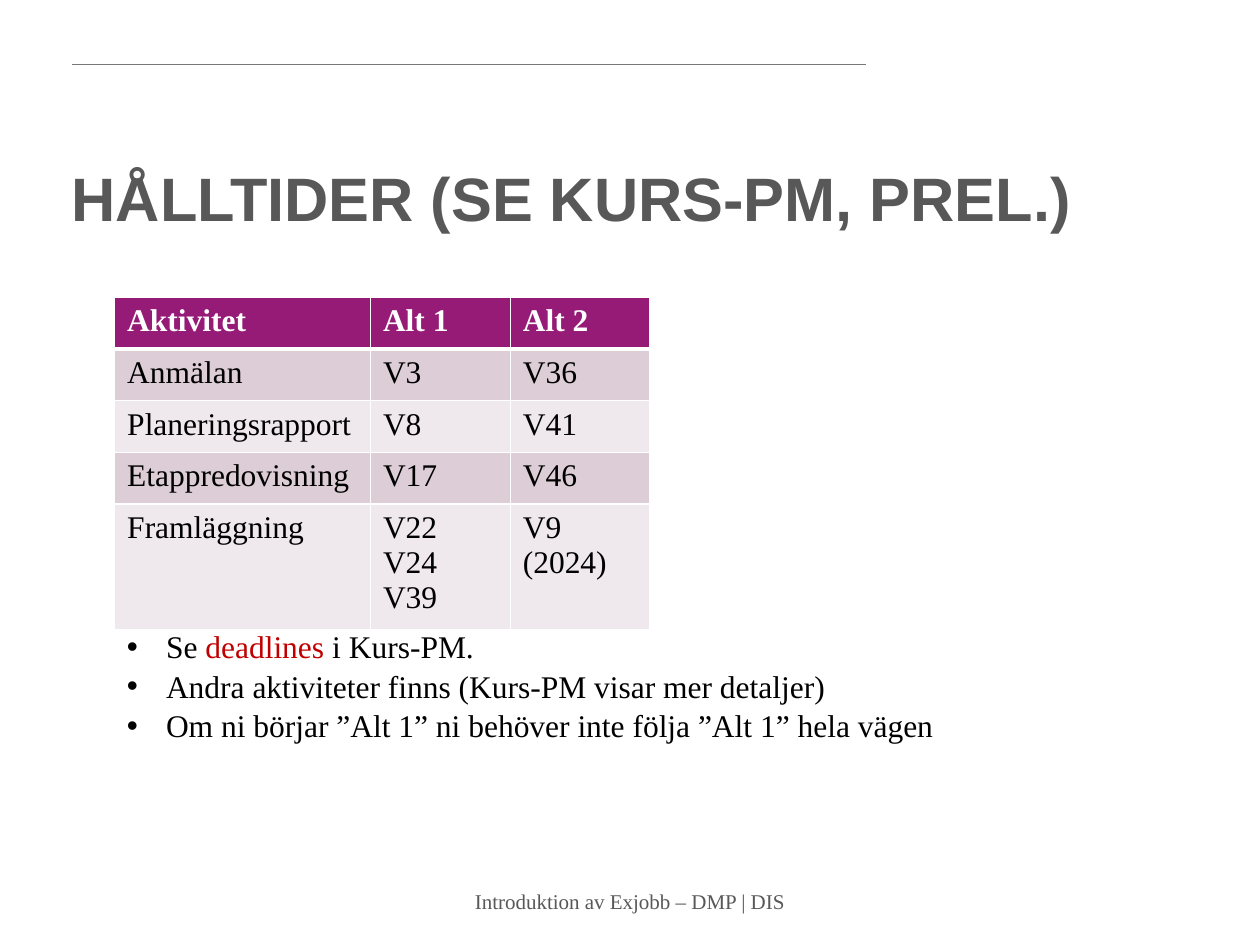
from lxml.etree import SubElement
from pptx import Presentation
from pptx.dml.color import RGBColor
from pptx.enum.shapes import MSO_CONNECTOR
from pptx.enum.text import MSO_ANCHOR, PP_ALIGN
from pptx.oxml.ns import qn
from pptx.util import Inches, Pt

COLORS = {"rule": "787878", "gray": "585858", "head": "961B77", "odd": "DDCDD6",
          "even": "EFE8EC", "white": "FFFFFF", "black": "000000", "red": "C00000"}
SERIF = "Times New Roman"
ROWS = [
    ["Aktivitet", "Alt 1", "Alt 2"],
    ["Anmälan", "V3", "V36"],
    ["Planeringsrapport", "V8", "V41"],
    ["Etappredovisning", "V17", "V46"],
    ["Framläggning", "V22\nV24\nV39", "V9 (2024)"],
]
NOTES = [
    [("Se ", "black"), ("deadlines", "red"), (" i Kurs-PM.", "black")],
    [("Andra aktiviteter finns (Kurs-PM visar mer detaljer)", "black")],
    [("Om ni börjar ”Alt 1” ni behöver inte följa ”Alt 1” hela vägen", "black")],
]


def rgb(name):
    return RGBColor.from_string(COLORS[name])


def write(para, text, size=18, font=SERIF, color="black", bold=False):
    run = para.add_run()
    run.text = text
    run.font.size = Pt(size)
    run.font.name = font
    run.font.bold = bold
    run.font.color.rgb = rgb(color)


def add_box(slide, x, y, w, h, anchor=MSO_ANCHOR.TOP):
    frame = slide.shapes.add_textbox(Inches(x), Inches(y), Inches(w), Inches(h)).text_frame
    frame.word_wrap = True
    frame.vertical_anchor = anchor
    return frame


def add_bullet(para, indent):
    props = para._p.get_or_add_pPr()
    props.set("marL", str(Inches(indent)))
    props.set("indent", str(-Inches(indent)))
    SubElement(props, qn("a:buFont"), typeface="Arial")
    SubElement(props, qn("a:buChar"), char="•")


def add_edges(cell, bottom):
    props = cell._tc.get_or_add_tcPr()
    for side, width in (("L", 1), ("R", 1), ("T", 1), ("B", bottom)):
        line = SubElement(props, qn("a:ln" + side), w=str(Pt(width)))
        fill = SubElement(line, qn("a:solidFill"))
        SubElement(fill, qn("a:srgbClr"), val=COLORS["white"])


def add_rule(slide, x, y, w):
    line = slide.shapes.add_connector(
        MSO_CONNECTOR.STRAIGHT, Inches(x), Inches(y), Inches(x + w), Inches(y))
    line.line.color.rgb = rgb("rule")
    line.line.width = Pt(0.75)
    SubElement(line._element.spPr, qn("a:effectLst"))


def add_title(slide, x, y, w, h):
    para = add_box(slide, x, y, w, h).paragraphs[0]
    para.line_spacing = 0.9
    write(para, "HÅLLTIDER (SE KURS-PM, PREL.)", size=35, font="Arial",
          color="gray", bold=True)


def add_footer(slide, x, y, w, h):
    para = add_box(slide, x, y, w, h, MSO_ANCHOR.MIDDLE).paragraphs[0]
    para.alignment = PP_ALIGN.CENTER
    write(para, "Introduktion av Exjobb – DMP | DIS", size=12, color="gray")


def add_plan(slide, x, y, w, h):
    table = slide.shapes.add_table(
        len(ROWS), len(ROWS[0]), Inches(x), Inches(y), Inches(w), Inches(h)).table
    # The first column is widest; the last row takes what is left
    first, step = 2.03, 0.41
    for i, col in enumerate(table.columns):
        col.width = Inches((w - first) / 2 if i else first)
    last = len(ROWS) - 1
    for r, texts in enumerate(ROWS):
        table.rows[r].height = Inches(h - step * last if r == last else step)
        fill = "head" if r == 0 else ("odd" if r % 2 else "even")
        for c, text in enumerate(texts):
            cell = table.cell(r, c)
            add_edges(cell, 1 if r else 3)
            cell.fill.solid()
            cell.fill.fore_color.rgb = rgb(fill)
            frame = cell.text_frame
            for i, part in enumerate(text.split("\n")):
                para = frame.add_paragraph() if i else frame.paragraphs[0]
                write(para, part, color="black" if r else "white", bold=r == 0)


def add_notes(slide, x, y, w, h):
    frame = add_box(slide, x, y, w, h)
    for i, parts in enumerate(NOTES):
        para = frame.add_paragraph() if i else frame.paragraphs[0]
        para.space_before = Pt(1)
        add_bullet(para, 0.31)
        for text, color in parts:
            write(para, text, color=color)


def main():
    deck = Presentation()
    deck.slide_width, deck.slide_height = Inches(10), Inches(7.5)
    slide = deck.slides.add_slide(deck.slide_layouts[6])
    # Heading and footer
    add_rule(slide, 0.57, 0.51, 6.3)
    add_title(slide, 0.47, 1.29, 9.2, 0.83)
    add_footer(slide, 3.31, 6.95, 3.38, 0.4)
    # Schedule and remarks
    add_plan(slide, 0.91, 2.36, 4.25, 2.56)
    add_notes(slide, 0.91, 4.93, 8.07, 1.31)
    deck.save("out.pptx")


if __name__ == "__main__":
    main()
